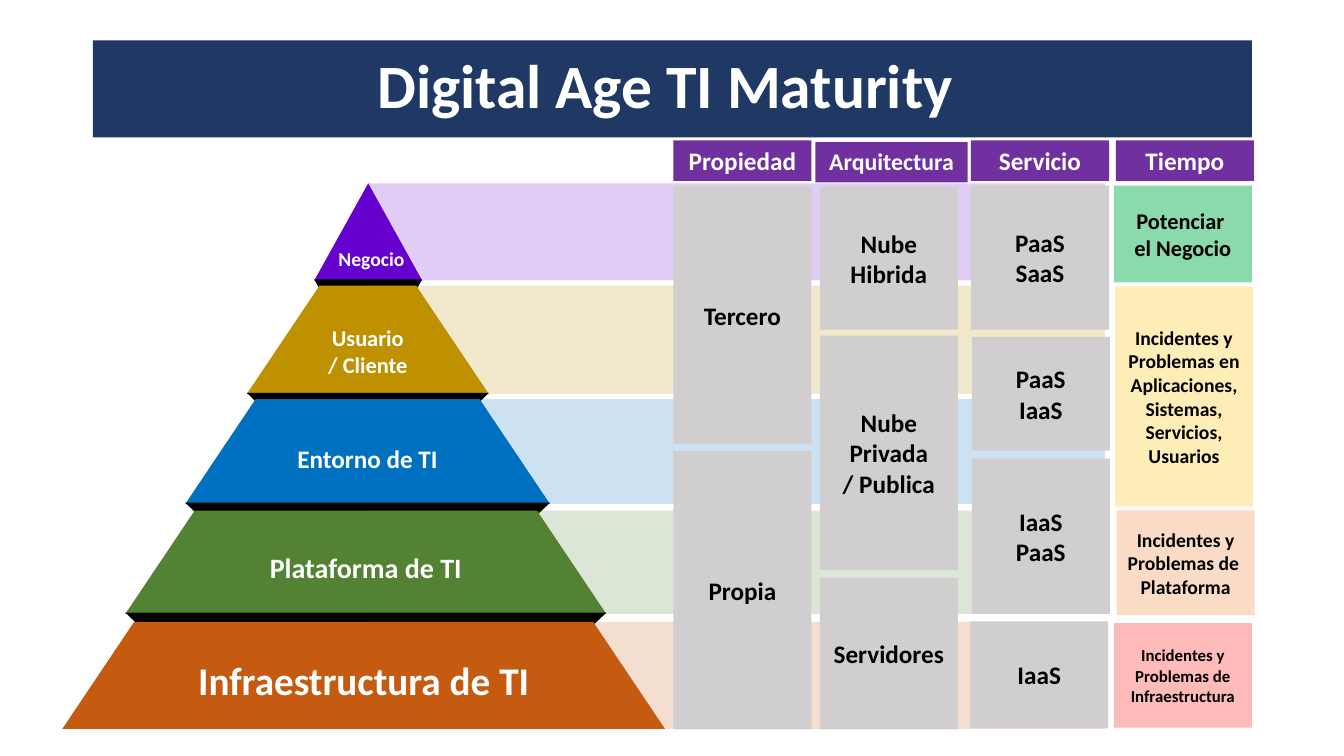
from lxml import etree
from pptx import Presentation
from pptx.dml.color import RGBColor
from pptx.enum.shapes import MSO_SHAPE
from pptx.enum.text import MSO_ANCHOR, MSO_AUTO_SIZE, PP_ALIGN
from pptx.oxml.ns import qn
from pptx.util import Cm, Pt

RECTANGLE, TRAPEZOID = MSO_SHAPE.RECTANGLE, MSO_SHAPE.TRAPEZOID
TOP, MIDDLE = MSO_ANCHOR.TOP, MSO_ANCHOR.MIDDLE
LEFT, CENTER = PP_ALIGN.LEFT, PP_ALIGN.CENTER
FIT_SHAPE, NO_FIT = MSO_AUTO_SIZE.SHAPE_TO_FIT_TEXT, MSO_AUTO_SIZE.NONE

WHITE, BLACK, NAVY, PURPLE, GRAY = "FFFFFF", "000000", "203864", "7030A0", "D0CECE"
COLUMN_WIDTH = 3.48
APEX, BAND_RIGHT = 9.28, 27.85

# label, size, colour, left, top, width, height, side slope, height of the shade below
LEVELS = [
    ("Negocio", 14, "6600CC", 7.92, 4.62, 2.72, 2.45, 0.664, 2.46),
    ("Usuario|/ Cliente", 16, "BF9000", 6.22, 7.2, 6.1, 2.73, 0.671, 3),
    ("Entorno de TI", 18, "0070C0", 4.67, 10.06, 9.19, 2.64, 0.671, 2.79),
    ("Plataforma de TI", 20, "548235", 3.16, 12.87, 12.12, 2.6, 0.671, 2.79),
    ("Infraestructura de TI", 28, "C55A11", 1.57, 15.67, 15.19, 2.7, 0.671, None),
]

# text, left, top, width, size
HEADERS = [
    ("Propiedad", 16.97, 3.54, COLUMN_WIDTH, 18),
    ("Arquitectura", 20.55, 3.58, 3.84, 17),
    ("Servicio", 24.47, 3.54, COLUMN_WIDTH, 18),
    ("Tiempo", 28.12, 3.54, COLUMN_WIDTH, 18),
]

# text, left, top, height
GRAY_CELLS = [
    ("Tercero", 16.97, 4.7, 6.48),
    ("Propia", 16.97, 11.36, 7.02),
    ("Nube|Hibrida", 20.66, 4.7, 3.61),
    ("Nube|Privada|/ Publica", 20.66, 8.46, 5.9),
    ("Servidores", 20.66, 14.56, 3.82),
    ("PaaS|SaaS", 24.47, 4.68, 3.63),
    ("PaaS|IaaS", 24.49, 8.49, 2.87),
    ("IaaS|PaaS", 24.49, 11.56, 3.91),
    ("IaaS", 24.45, 15.66, 2.69),
]

# text, left, top, height, size, colour, opacity in percent
TIME_CELLS = [
    ("Potenciar \nel Negocio", 28.07, 4.68, 2.44, 16, "00B050", 46),
    ("Incidentes y Problemas en|Aplicaciones, Sistemas, Servicios,|Usuarios",
     28.1, 7.22, 5.54, 14, "FFD966", 46),
    ("Incidentes y Problemas de |Plataforma", 28.14, 12.86, 2.64, 14, "F4B183", 46),
    ("Incidentes y Problemas de|Infraestructura", 28.07, 15.7, 2.64, 12, "FF0000", 27),
]


def rgb(value):
    return RGBColor.from_string(value)


def apply_format(target, values):
    for name, value in values.items():
        setattr(target, name, value)


class MaturitySlide:
    font_name = "Calibri"

    def __init__(self, presentation):
        self.slide = presentation.slides.add_slide(presentation.slide_layouts[5])

    def set_text(self, shape, text, size, color=WHITE, align=CENTER, anchor=MIDDLE,
                 auto_size=NO_FIT, line_spacing=None):
        """Fill a shape with text; a bar in the text starts a new paragraph."""
        frame = shape.text_frame
        apply_format(frame, {"word_wrap": True, "vertical_anchor": anchor,
                             "auto_size": auto_size})
        for index, line in enumerate(text.split("|")):
            paragraph = frame.add_paragraph() if index else frame.paragraphs[0]
            paragraph.text = line
            apply_format(paragraph, {"alignment": align, "line_spacing": line_spacing})
            apply_format(paragraph.font, {"name": self.font_name, "size": Pt(size),
                                          "bold": True})
            paragraph.font.color.rgb = rgb(color)

    def title(self, text, left, top, width, height):
        shape = self.slide.shapes.title
        apply_format(shape, {"left": Cm(left), "top": Cm(top),
                             "width": Cm(width), "height": Cm(height)})
        shape.fill.solid()
        shape.fill.fore_color.rgb = rgb(NAVY)
        self.set_text(shape, text, 44, line_spacing=0.9)

    def block(self, kind, left, top, width, height, color, opacity=100):
        shape = self.slide.shapes.add_shape(kind, Cm(left), Cm(top), Cm(width), Cm(height))
        shape.shadow.inherit = False
        shape.line.fill.background()
        shape.fill.solid()
        shape.fill.fore_color.rgb = rgb(color)
        if opacity < 100:
            fill_color = shape._element.spPr.find(qn("a:solidFill"))[0]
            etree.SubElement(fill_color, qn("a:alpha"), val=str(opacity * 1000))
        return shape

    def trapezoid(self, left, top, width, height, color, slope, flipped=False):
        shape = self.block(TRAPEZOID, left, top, width, height, color)
        shape.adjustments[0] = slope
        if flipped:
            shape._element.spPr.find(qn("a:xfrm")).set("flipV", "1")
        return shape

    def label(self, text, left, top, width, height, size):
        box = self.slide.shapes.add_textbox(Cm(left), Cm(top), Cm(width), Cm(height))
        self.set_text(box, text, size, align=LEFT, anchor=TOP, auto_size=FIT_SHAPE)

    def level(self, text, size, color, left, top, width, height, slope, shade_height):
        """Draw one pyramid level with its pale band and the dark shade below it."""
        self.block(RECTANGLE, APEX, top, BAND_RIGHT - APEX, height, color, 20)
        face = self.trapezoid(left, top, width, height, color, slope)
        if shade_height:
            self.trapezoid(left, top + height - 0.03, width, shade_height, BLACK, 1.048, True)
        if top == LEVELS[0][4]:
            self.label(text, 8.28, 6.1, 2.34, 0.86, size)
        else:
            self.set_text(face, text, size)

    def header(self, text, left, top, width, size):
        shape = self.block(RECTANGLE, left, top, width, 1.02, PURPLE)
        self.set_text(shape, text, size, anchor=TOP, auto_size=FIT_SHAPE)

    def cell(self, text, left, top, height, size=18, color=GRAY, opacity=100):
        shape = self.block(RECTANGLE, left, top, COLUMN_WIDTH, height, color, opacity)
        self.set_text(shape, text, size, BLACK)


def main():
    presentation = Presentation()
    presentation.slide_width, presentation.slide_height = Cm(33.87), Cm(19.05)
    page = MaturitySlide(presentation)
    page.title("Digital Age TI Maturity ", 2.34, 1.02, 29.21, 2.44)
    for draw, rows in ((page.level, LEVELS), (page.header, HEADERS),
                       (page.cell, GRAY_CELLS), (page.cell, TIME_CELLS)):
        for row in rows:
            draw(*row)
    presentation.save("out.pptx")


if __name__ == "__main__":
    main()
